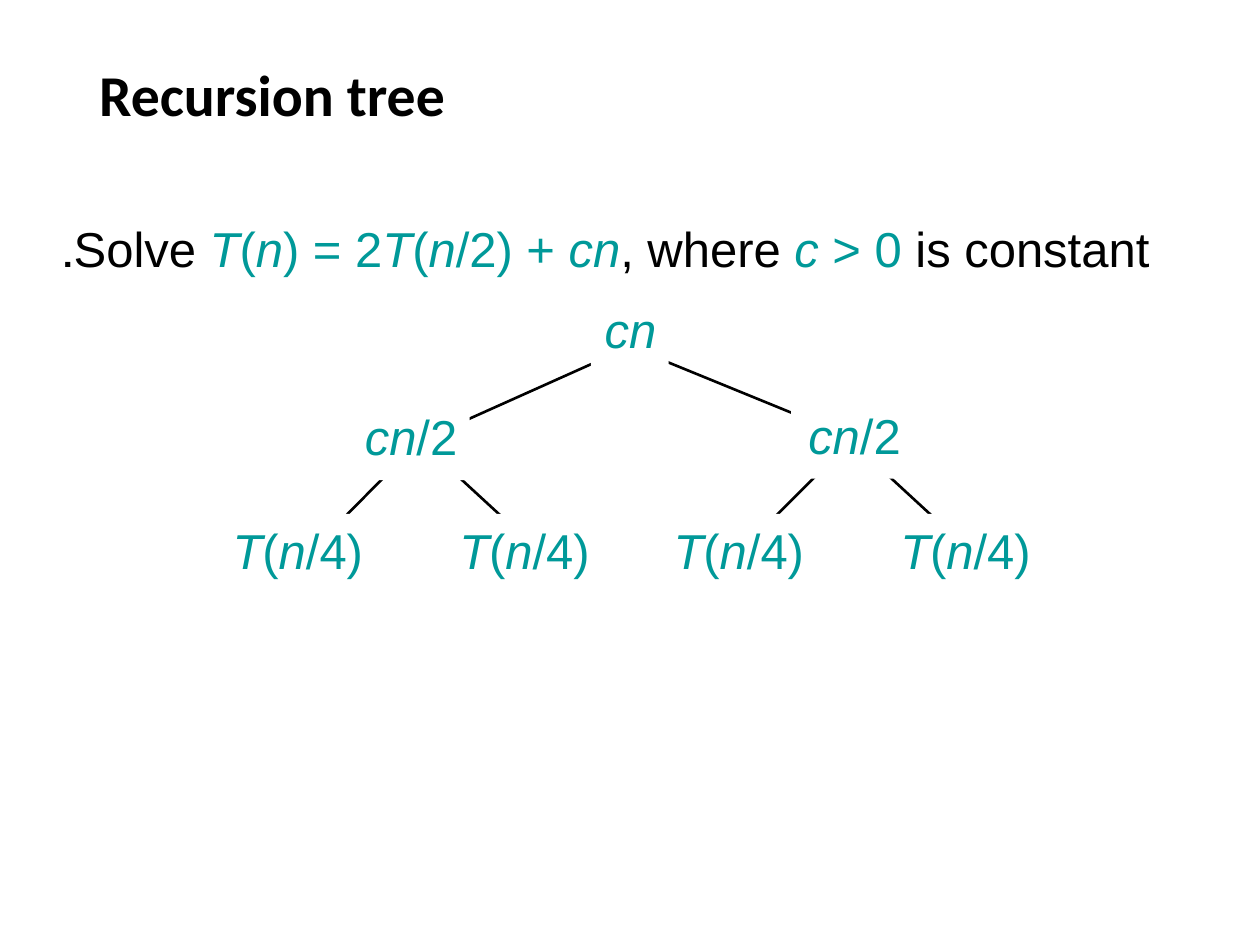
from lxml import etree
from pptx import Presentation
from pptx.dml.color import RGBColor
from pptx.enum.shapes import MSO_CONNECTOR, MSO_SHAPE
from pptx.enum.text import MSO_ANCHOR, MSO_AUTO_SIZE, PP_ALIGN
from pptx.oxml.ns import qn
from pptx.util import Cm, Pt

LEFT, RIGHT = PP_ALIGN.LEFT, PP_ALIGN.RIGHT
TOP, MIDDLE = MSO_ANCHOR.TOP, MSO_ANCHOR.MIDDLE
GROW, FIXED = MSO_AUTO_SIZE.SHAPE_TO_FIT_TEXT, MSO_AUTO_SIZE.NONE
RECT = MSO_SHAPE.RECTANGLE
STRAIGHT = MSO_CONNECTOR.STRAIGHT
COLORS = {"text": "000000", "math": "009999", "back": "FFFFFF"}


def rgb(name):
    return RGBColor.from_string(COLORS[name])


def write(sp, text, size=28, font="Arial", bold=False, align=None, rtl=True,
          wrap=False, anchor=TOP, fit=GROW):
    tf = sp.text_frame
    tf.word_wrap = wrap
    tf.auto_size = fit
    tf.vertical_anchor = anchor
    p = tf.paragraphs[0]
    p.alignment = align
    if rtl:
        p._p.get_or_add_pPr().set("rtl", "1")
    for i, part in enumerate(text.split("|")):
        for j, piece in enumerate(part.split("_")):
            if piece:
                r = p.add_run()
                r.text = piece
                r.font.name = font
                r.font.size = Pt(size)
                r.font.bold = bold
                r.font.italic = j % 2 == 1
                r.font.color.rgb = rgb("math" if i % 2 else "text")


prs = Presentation()
prs.slide_width, prs.slide_height = Cm(25.4), Cm(19.05)
s = prs.slides.add_slide(prs.slide_layouts[6])

title = s.shapes.add_textbox(Cm(1.75), Cm(1), Cm(21.89), Cm(1.93))
write(title, "Recursion tree", size=33, font="Calibri", bold=True, align=LEFT,
      rtl=False, wrap=True, anchor=MIDDLE, fit=FIXED)
title.text_frame.paragraphs[0].line_spacing = 0.9

problem = s.shapes.add_textbox(Cm(0.99), Cm(4.29), Cm(23.39), Cm(1.6))
write(problem, "Solve |_T_(_n_) = 2_T_(_n_/2) + _cn_|, where |_c _> 0| is constant.")

root_y, half_y, leaf_y = 6.99, 8.89, 11.23
edges = [(12.7, root_y, 8.46, half_y), (12.7, root_y, 17.35, half_y)]
for x, leaves in ((8.46, (6.15, 11)), (17.15, (14.81, 19.69))):
    edges += [(x, half_y, leaf_x, leaf_y) for leaf_x in leaves]
for edge in edges:
    line = s.shapes.add_connector(STRAIGHT, *[Cm(v) for v in edge])
    line.line.color.rgb = rgb("text")
    line.line.width = Pt(1.5)
    etree.SubElement(line._element.spPr, qn("a:effectLst"))

nodes = [
    ("|_cn_|", 11.91, 5.92, 1.57),
    ("|_cn_/2|", 7.01, 8.08, 2.46),
    ("|_cn_/2|", 15.95, 8.05, 2.46),
]
nodes += [("|_T_(_n_/4)|", x, 10.36, 3.33) for x in (4.24, 8.81, 13.13, 17.7)]
for text, x, y, width in nodes:
    sp = s.shapes.add_shape(RECT, Cm(x), Cm(y), Cm(width), Cm(1.6))
    sp.shadow.inherit = False
    sp.fill.solid()
    sp.fill.fore_color.rgb = rgb("back")
    sp.line.fill.background()
    write(sp, text, align=RIGHT)

prs.save("out.pptx")
